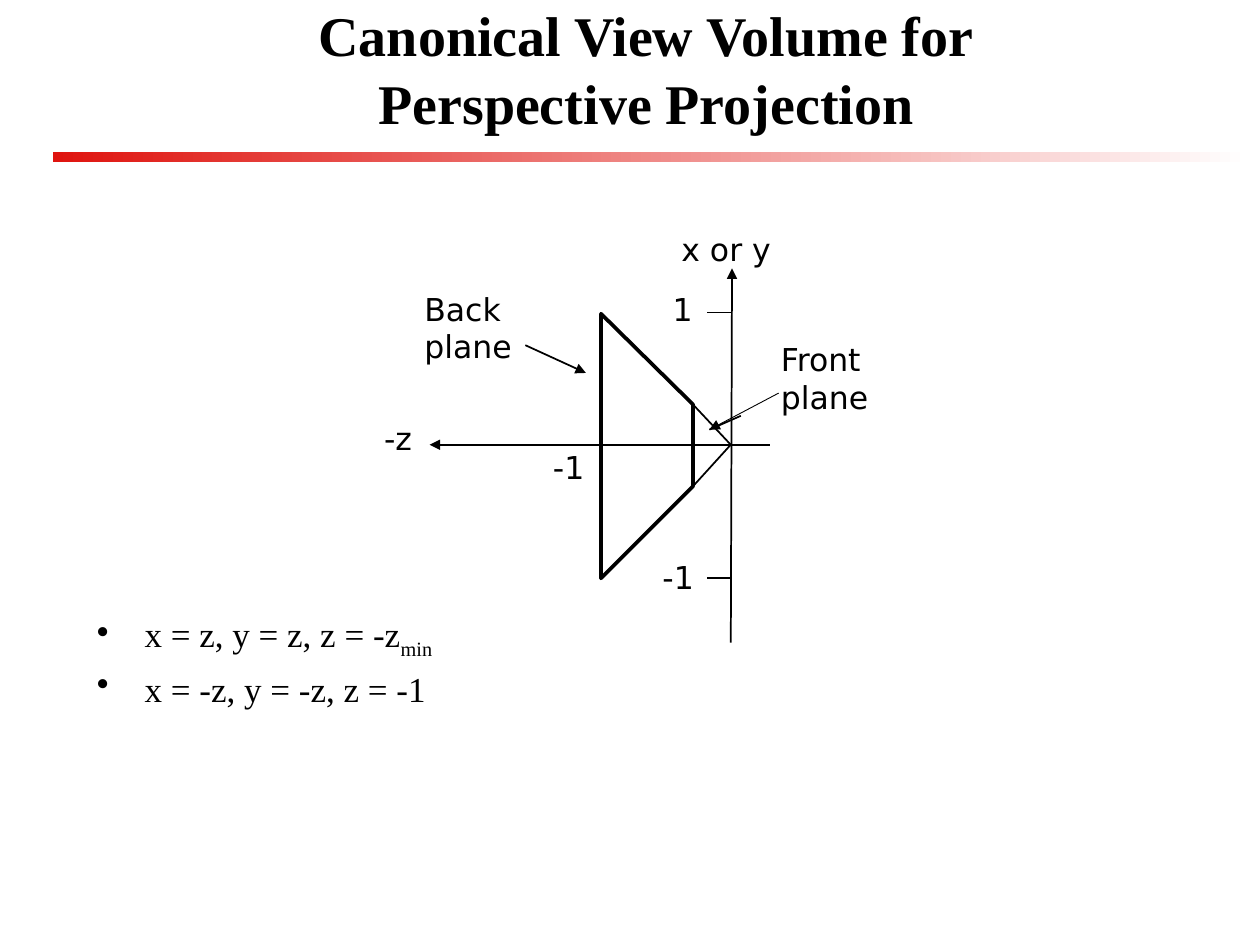
from lxml.etree import SubElement
from pptx import Presentation
from pptx.dml.color import RGBColor
from pptx.enum.shapes import MSO_CONNECTOR, MSO_SHAPE
from pptx.enum.text import MSO_ANCHOR, MSO_AUTO_SIZE, PP_ALIGN
from pptx.oxml.ns import qn
from pptx.util import Inches, Pt

BLACK = RGBColor(0x00, 0x00, 0x00)
WHITE = RGBColor(0xFF, 0xFF, 0xFF)
RED = RGBColor(0xDF, 0x14, 0x0F)
SERIF = "Times New Roman"
SANS = "DejaVu Sans"

# Diagram geometry in inches
AXIS_X, AXIS_Y = 5.8, 3.53
BACK_X, FRONT_X = 4.77, 5.5
TOP, BOTTOM = 2.48, 4.59
FRONT_TOP, FRONT_BOTTOM = 3.21, 3.86
TICK_X = 5.61


def add_text(shapes, text, left, top, width, height, font=SANS, size=18, bold=False,
             align=PP_ALIGN.LEFT, anchor=MSO_ANCHOR.TOP, wrap=False, bullet=None,
             space_before=0):
    """Each line of text is a paragraph; \\v breaks a line, _ starts a subscript."""
    box = shapes.add_textbox(Inches(left), Inches(top), Inches(width), Inches(height))
    frame = box.text_frame
    frame.word_wrap = wrap
    frame.auto_size = MSO_AUTO_SIZE.NONE if wrap else MSO_AUTO_SIZE.SHAPE_TO_FIT_TEXT
    frame.vertical_anchor = anchor
    for index, line in enumerate(text.split("\n")):
        paragraph = frame.paragraphs[0] if index == 0 else frame.add_paragraph()
        paragraph.alignment = align
        paragraph.space_before = Pt(space_before)
        if bullet:
            add_bullet(paragraph, bullet)
        base, _, subscript = line.partition("_")
        paragraph.text = base
        if subscript:
            run = paragraph.add_run()
            run.text = subscript
            run._r.get_or_add_rPr().set("baseline", "-25000")
        for run in paragraph.runs:
            run.font.name = font
            run.font.size = Pt(size)
            run.font.bold = bold
            run.font.color.rgb = BLACK
    return box


def add_bullet(paragraph, character, indent=0.38):
    properties = paragraph._p.get_or_add_pPr()
    properties.set("marL", str(Inches(indent)))
    properties.set("indent", str(-Inches(indent)))
    SubElement(properties, qn("a:buChar")).set("char", character)


def add_line(shapes, start, end, width=1, arrow=False):
    line = shapes.add_connector(
        MSO_CONNECTOR.STRAIGHT, *(Inches(value) for value in (*start, *end)))
    line.line.color.rgb = BLACK
    line.line.width = Pt(width)
    if arrow:
        SubElement(line.line._get_or_add_ln(), qn("a:tailEnd")).set("type", "triangle")
    SubElement(line._element.spPr, qn("a:effectLst"))


def add_outline(shapes, points, width, close):
    start, *others = [(Inches(x), Inches(y)) for x, y in points]
    builder = shapes.build_freeform(*start)
    builder.add_line_segments(others, close=close)
    shape = builder.convert_to_shape()
    shape.shadow.inherit = False
    shape.fill.background()
    shape.line.color.rgb = BLACK
    shape.line.width = Pt(width)


def add_gradient_bar(shapes):
    bar = shapes.add_shape(
        MSO_SHAPE.RECTANGLE, Inches(0.42), Inches(1.21), Inches(9.5), Inches(0.08))
    bar.shadow.inherit = False
    bar.line.fill.background()
    bar.fill.gradient()
    bar.fill.gradient_angle = 0
    for stop, color in zip(bar.fill.gradient_stops, (RED, WHITE)):
        stop.color.rgb = color


def add_view_volume(shapes):
    add_line(shapes, (AXIS_X, 5.1), (AXIS_X + 0.01, 2.13), arrow=True)
    add_line(shapes, (6.11, AXIS_Y), (3.41, AXIS_Y), arrow=True)
    for y in (TOP, BOTTOM):
        add_line(shapes, (AXIS_X, y), (TICK_X, y))

    add_outline(shapes, [(FRONT_X, FRONT_TOP), (BACK_X, TOP + 0.01), (BACK_X, BOTTOM),
                         (FRONT_X, FRONT_BOTTOM)], width=2.13, close=True)
    add_outline(shapes, [(FRONT_X, FRONT_TOP), (AXIS_X, AXIS_Y),
                         (FRONT_X, FRONT_BOTTOM)], width=1, close=False)

    front_tip = (5.63, 3.41)
    add_line(shapes, (4.17, 2.74), (4.65, 2.96), arrow=True)
    add_line(shapes, (5.88, 3.3), front_tip)
    add_line(shapes, (6.18, 3.12), front_tip, width=0.5, arrow=True)

    labels = [
        ("-1", 5.16, 4.38, 0.5, 0.4),
        ("-1", 4.29, 3.51, 0.5, 0.4),
        ("1", 5.24, 2.25, 0.38, 0.4),
        ("-z", 2.95, 3.28, 0.47, 0.4),
        ("x or y", 5.31, 1.78, 1, 0.4),
        ("Back\nplane", 3.27, 2.25, 0.97, 0.7),
        ("Front\nplane", 6.1, 2.65, 0.97, 0.7),
    ]
    for label in labels:
        add_text(shapes, *label)


def main():
    presentation = Presentation()
    presentation.slide_width = Inches(10)
    presentation.slide_height = Inches(7.5)
    slide = presentation.slides.add_slide(presentation.slide_layouts[6])

    add_gradient_bar(slide.shapes)
    add_text(slide.shapes, "Canonical View Volume for\vPerspective Projection",
             1.42, 0, 7.42, 1.08, font=SERIF, size=32, bold=True, wrap=True,
             align=PP_ALIGN.CENTER, anchor=MSO_ANCHOR.MIDDLE)
    add_text(slide.shapes, "x = z, y = z, z = -z_min\nx = -z, y = -z, z = -1",
             0.67, 4.81, 8.83, 1.52, font=SERIF, size=20, wrap=True,
             bullet="•", space_before=4)
    add_view_volume(slide.shapes.add_group_shape().shapes)
    presentation.save("out.pptx")


if __name__ == "__main__":
    main()
